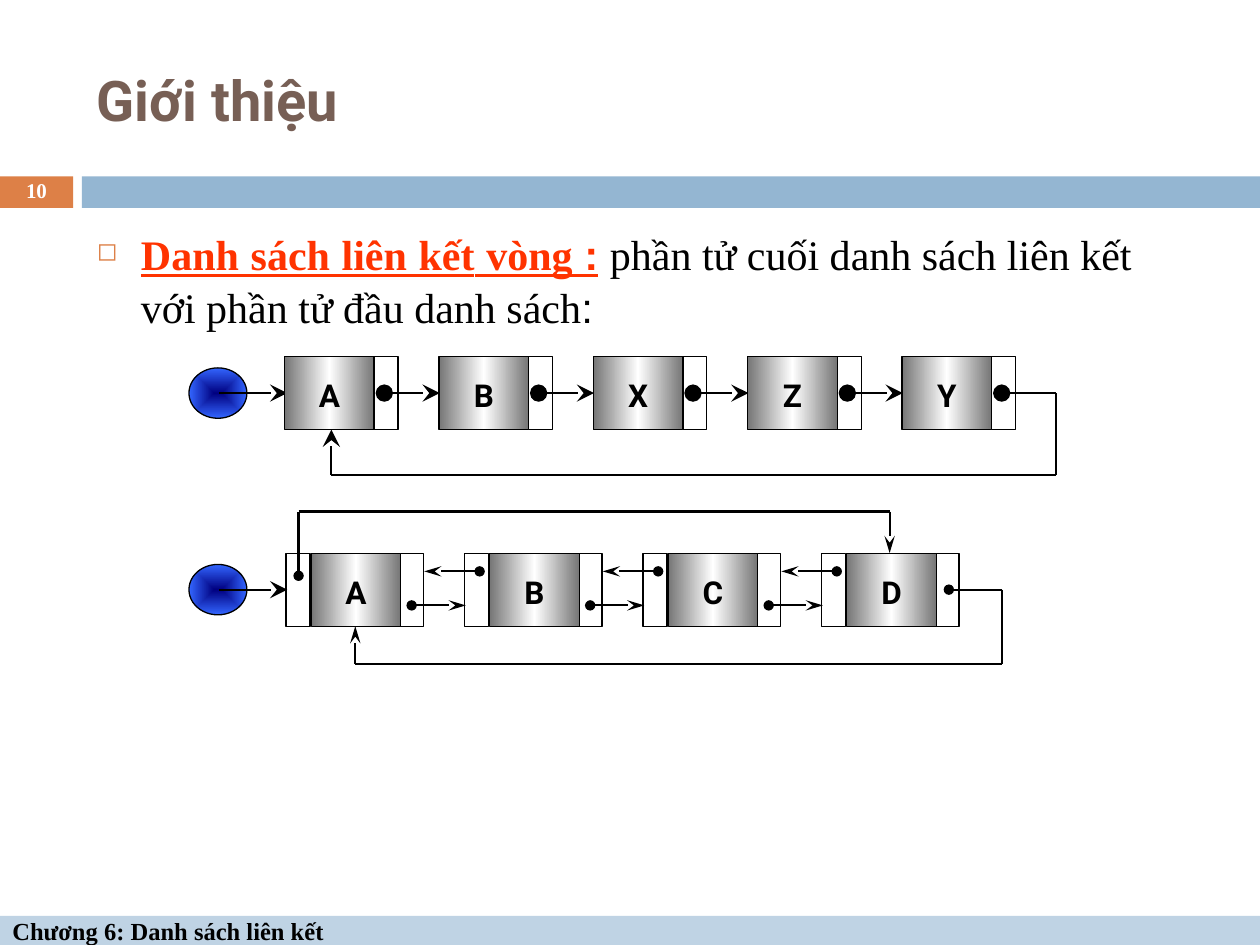
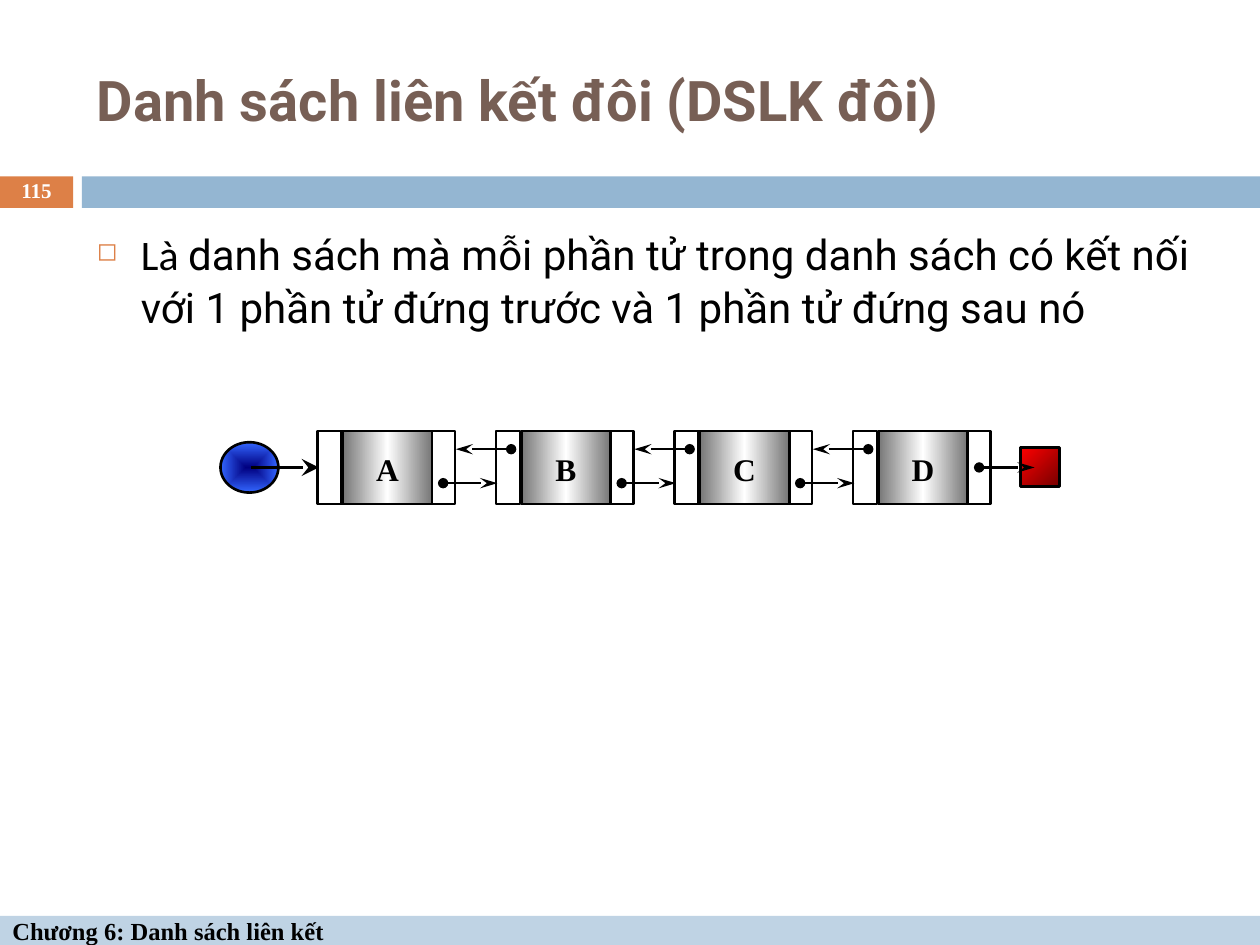
from itertools import pairwise

from lxml import etree
from pptx import Presentation
from pptx.dml.color import RGBColor
from pptx.enum.shapes import MSO_CONNECTOR, MSO_SHAPE
from pptx.enum.text import MSO_ANCHOR, PP_ALIGN
from pptx.oxml import parse_xml
from pptx.oxml.ns import nsdecls, qn
from pptx.util import Inches, Pt

RECT, OVAL = MSO_SHAPE.RECTANGLE, MSO_SHAPE.OVAL
STRAIGHT = MSO_CONNECTOR.STRAIGHT
MIDDLE, TOP = MSO_ANCHOR.MIDDLE, MSO_ANCHOR.TOP
CENTER, LEFT = PP_ALIGN.CENTER, PP_ALIGN.LEFT

BLACK, WHITE, RED = "000000", "FFFFFF", "FF3300"
ORANGE, BLUE, PALE_BLUE, BROWN = "DD8047", "94B6D2", "BFD3E4", "775F55"
SERIF, SANS, ARIAL, CALIBRI = "Times New Roman", "Roboto", "Arial", "Calibri"

LINEAR = '<a:lin ang="{}" scaled="0"/>'
CENTRED = ('<a:path path="rect"><a:fillToRect l="50000" t="50000" '
           'r="50000" b="50000"/></a:path>')
STEEL = ([(0, "767676"), (50, WHITE), (100, "767676")], LINEAR.format(0))
HEAD_BLUE = ([(0, "000080"), (100, "3366FF")], CENTRED)
NULL_RED = ([(0, "FF0000"), (100, "760000")], LINEAR.format(2700000))

BIG_DOT = ("oval", "lg", "lg")
DOT = ("oval", "med", "med")
BIG_ARROW = ("stealth", "lg", "lg")
ARROW = ("stealth", "med", "lg")

CELL_HEIGHT, LINK_WIDTH, DATA_WIDTH = 0.58, 0.19, 0.71
SINGLE_PITCH, DOUBLE_PITCH = 1.225, 1.417
FIRST_NODE = 0.77


def rgb(value):
    """Turn a hex string into a colour."""
    return RGBColor.from_string(value)


def add_span(para, text, size, font, color, bold=False, underline=False):
    """Add one formatted run to a paragraph."""
    span = para.add_run()
    span.text = text
    span.font.size = Pt(size)
    span.font.name = font
    span.font.bold = bold
    span.font.underline = underline
    span.font.color.rgb = rgb(color)


def set_frame(shape, anchor, insets=(0.1, 0.05, 0.1, 0.05), align=LEFT):
    """Prepare the text frame of a shape and return its first paragraph."""
    frame = shape.text_frame
    frame.word_wrap = True
    frame.vertical_anchor = anchor
    frame.margin_left, frame.margin_top, frame.margin_right, frame.margin_bottom = map(
        Inches, insets)
    para = frame.paragraphs[0]
    para.alignment = align
    return para


def add_text_box(page, box, anchor, align=LEFT):
    """Add a text box and return its first paragraph."""
    return set_frame(page.shapes.add_textbox(*map(Inches, box)), anchor, align=align)


def fill_gradient(shape, gradient):
    """Fill a shape with gradient stops and a direction."""
    stops, direction = gradient
    marks = "".join(f'<a:gs pos="{place * 1000}"><a:srgbClr val="{color}"/></a:gs>'
                    for place, color in stops)
    shape._element.spPr.insert(2, parse_xml(
        f'<a:gradFill {nsdecls("a")} rotWithShape="1">'
        f"<a:gsLst>{marks}</a:gsLst>{direction}</a:gradFill>"))


def add_block(page, box, kind=RECT, color=None, gradient=None, weight=None):
    """Add a preset shape with a plain, gradient or empty fill."""
    shape = page.shapes.add_shape(kind, *map(Inches, box))
    shape.shadow.inherit = False
    if gradient:
        fill_gradient(shape, gradient)
    elif color:
        shape.fill.solid()
        shape.fill.fore_color.rgb = rgb(color)
    else:
        shape.fill.background()
    if weight:
        shape.line.color.rgb = rgb(BLACK)
        shape.line.width = Pt(weight)
    else:
        shape.line.fill.background()
    return shape


def add_route(page, points, weight, head=None, tail=None):
    """Join points by straight lines with optional end marks."""
    legs = list(pairwise(points))
    for index, (start, end) in enumerate(legs):
        line = page.shapes.add_connector(STRAIGHT, *map(Inches, (*start, *end)))
        line.line.color.rgb = rgb(BLACK)
        line.line.width = Pt(weight)
        etree.SubElement(line._element.spPr, qn("a:effectLst"))
        outline = line.line._get_or_add_ln()
        for tag, mark, shown in (("a:headEnd", head, index == 0),
                                 ("a:tailEnd", tail, index == len(legs) - 1)):
            if mark and shown:
                kind, width, length = mark
                etree.SubElement(outline, qn(tag), type=kind, w=width, len=length)


def add_frame(page, title, number):
    """Draw the bands, title, page number and footer."""
    add_block(page, (0, 1.4, 0.58, 0.25), color=ORANGE)
    add_block(page, (0.65, 1.4, 9.35, 0.25), color=BLUE)
    footer = add_block(page, (0, 7.27, 10, 0.23), color=PALE_BLUE)
    add_span(set_frame(footer, MIDDLE), "Chương 6: Danh sách liên kết",
             14, SERIF, BLACK, bold=True)
    add_span(add_text_box(page, (0.67, 0.25, 8.92, 1.08), MIDDLE),
             title, 32, SANS, BROWN, bold=True)
    para = add_text_box(page, (0, 1.39, 0.58, 0.27), MIDDLE, CENTER)
    para.line_spacing = 0.8
    add_span(para, number, 12, SERIF, WHITE, bold=True)


def add_bullet(page):
    """Add the body text box and return its bulleted paragraph."""
    para = add_text_box(page, (0.67, 1.75, 8.92, 4.92), TOP)
    para.line_spacing = Pt(30)
    para.space_before = Pt(6)
    props = para._p.get_or_add_pPr()
    props.set("marL", str(Inches(0.35)))
    props.set("indent", str(Inches(-0.35)))
    color = etree.SubElement(props, qn("a:buClr"))
    etree.SubElement(color, qn("a:srgbClr"), val=ORANGE)
    etree.SubElement(props, qn("a:buSzPct"), val="60000")
    etree.SubElement(props, qn("a:buChar"), char="◻")
    return para


def add_link(page, left, top, weight):
    """Draw one pointer cell."""
    add_block(page, (left, top, LINK_WIDTH, CELL_HEIGHT), weight=weight)


def add_data(page, left, top, name, font, weight):
    """Draw one data cell with its name."""
    cell = add_block(page, (left, top, DATA_WIDTH, CELL_HEIGHT),
                     gradient=STEEL, weight=weight)
    para = set_frame(cell, MIDDLE, (0, 0.03, 0, 0), CENTER)
    add_span(para, name, 18, font, BLACK, bold=True)


def add_list_head(page, left, top, weight):
    """Draw the head of a list and its arrow to the first node."""
    add_block(page, (left, top + 0.09, 0.46, 0.4), OVAL, gradient=HEAD_BLUE, weight=weight)
    add_route(page, [(left + 0.24, top + 0.29), (left + 0.78, top + 0.29)],
              weight=max(weight, 1.25), tail=BIG_ARROW)


def add_single_ring(page, left, top, names):
    """Draw a circular list whose nodes point forward."""
    add_list_head(page, left, top, 0.75)
    middle = top + 0.29
    for index, name in enumerate(names):
        node = left + 0.76 + index * SINGLE_PITCH
        dot = node + 0.79
        add_link(page, node + DATA_WIDTH, top, 0.75)
        add_data(page, node, top, name, SANS, 0.75)
        if index < len(names) - 1:
            add_route(page, [(dot, middle), (dot + 0.44, middle)], 1.25, BIG_DOT, BIG_ARROW)
    right, entry, low = dot + 0.43, left + 1.13, top + 0.94
    add_route(page, [(dot, middle), (right, middle), (right, low), (entry, low),
                     (entry, top + CELL_HEIGHT)], 1.25, BIG_DOT, BIG_ARROW)


def add_double_list(page, left, top, names, font, box_weight, line_weight):
    """Draw nodes linked both ways and return the left of the last one."""
    add_list_head(page, left, top, box_weight)
    for index, name in enumerate(names):
        node = left + FIRST_NODE + index * DOUBLE_PITCH
        add_link(page, node, top, box_weight)
        add_link(page, node + 0.9, top, box_weight)
        add_data(page, node + 0.2, top, name, font, box_weight)
        if index:
            back, ahead = top + 0.145, top + 0.415
            add_route(page, [(node + 0.12, back), (node - 0.32, back)],
                      line_weight, DOT, ARROW)
            add_route(page, [(node - 0.42, ahead), (node + 0.01, ahead)],
                      line_weight, DOT, ARROW)
    return node


def add_double_ring(page, left, top, names):
    """Close a doubly linked list at both ends."""
    last = add_double_list(page, left, top, names, SANS, 0.75, 1.25)
    first = left + FIRST_NODE
    middle, low, high = top + 0.29, top + 0.88, top - 0.33
    right, entry, target = last + 1.43, first + 0.55, last + 0.54
    add_route(page, [(last + 1.01, middle), (right, middle), (right, low), (entry, low),
                     (entry, top + CELL_HEIGHT)], 1.25, DOT, ARROW)
    add_route(page, [(first + 0.1, top + 0.18), (first + 0.1, high), (target, high),
                     (target, top)], 1.25, DOT, ARROW)


def add_double_chain(page, left, top, names):
    """End a doubly linked list at a null block."""
    last = add_double_list(page, left, top, names, SERIF, 1.5, 1.5)
    add_block(page, (last + 1.33, top + 0.13, 0.31, 0.31), gradient=NULL_RED, weight=1.5)
    add_route(page, [(last + 1, top + 0.29), (last + 1.44, top + 0.29)], 1.5, DOT, ARROW)


def build_ring_page(page):
    """Build the page on circular lists."""
    add_frame(page, "Giới thiệu", "10")
    para = add_bullet(page)
    for word in ("Danh", "sách", "liên", "kết"):
        add_span(para, word, 24, SERIF, RED, True, True)
        add_span(para, " ", 24, ARIAL, RED, True, True)
    add_span(para, "vòng", 24, SERIF, RED, True, True)
    add_span(para, " :", 24, ARIAL, RED, True, True)
    add_span(para, " ", 24, ARIAL, BLACK)
    add_span(para, "phần tử cuối danh sách liên kết với phần tử đầu danh sách",
             24, SERIF, BLACK)
    add_span(para, ":", 24, ARIAL, BLACK)
    add_single_ring(page, 1.5, 2.83, "ABXZY")
    add_double_ring(page, 1.5, 4.39, "ABCD")


def build_double_page(page):
    """Build the page on doubly linked lists."""
    add_frame(page, "Danh sách liên kết đôi (DSLK đôi)", "115")
    para = add_bullet(page)
    add_span(para, "Là ", 24, CALIBRI, BLACK)
    add_span(para, "danh sách mà mỗi phần tử trong danh sách có kết nối "
             "với 1 phần tử đứng trước và 1 phần tử đứng sau nó", 24, SANS, BLACK)
    add_double_chain(page, 1.75, 3.42, "ABCD")


def main():
    """Build and save the deck."""
    deck = Presentation()
    deck.slide_width, deck.slide_height = Inches(10), Inches(7.5)
    for build in (build_ring_page, build_double_page):
        build(deck.slides.add_slide(deck.slide_layouts[6]))
    deck.save("out.pptx")


if __name__ == "__main__":
    main()
